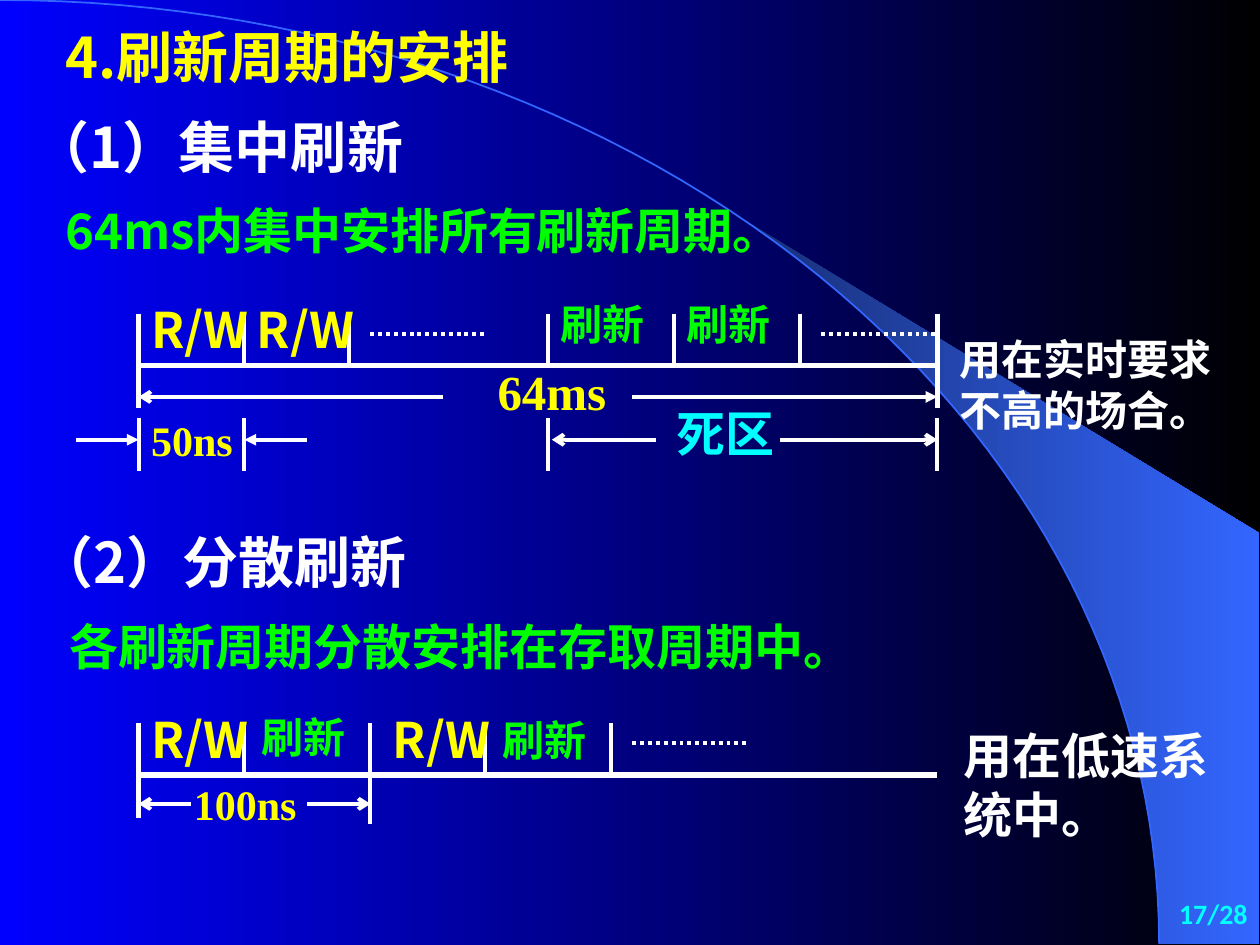
from math import cos, radians, sin

from lxml.etree import SubElement
from pptx import Presentation
from pptx.dml.color import RGBColor
from pptx.enum.dml import MSO_LINE
from pptx.enum.shapes import MSO_CONNECTOR
from pptx.enum.text import MSO_ANCHOR, PP_ALIGN
from pptx.oxml.ns import qn
from pptx.util import Inches, Pt

COLORS = {
    "blue": "0000FF", "black": "000000", "navy": "182F76", "sky": "3366FF",
    "white": "FFFFFF", "yellow": "FFFF00", "green": "00FF00", "cyan": "00FFFF",
}
SANS, SERIF = "Noto Sans CJK SC", "Times New Roman"
SPAN = 6.34       # length of a time axis
AXIS_DROP = 0.41  # from the top of the ticks to the axis


def rgb(name):
    return RGBColor.from_string(COLORS[name])


def set_gradient(fill, start, end):
    fill.gradient()
    fill.gradient_angle = 0
    for stop, name, position in zip(fill.gradient_stops, (start, end), (0, 1)):
        stop.color.rgb = rgb(name)
        stop.position = position


def add_text(slide, text, left, top, width=1.42, height=0.57, *, size=28, color="white",
             font=SANS, align=PP_ALIGN.LEFT, anchor=MSO_ANCHOR.TOP):
    frame = slide.shapes.add_textbox(
        Inches(left), Inches(top), Inches(width), Inches(height)).text_frame
    frame.word_wrap = True
    frame.vertical_anchor = anchor
    paragraph = frame.paragraphs[0]
    paragraph.alignment = align
    run = paragraph.add_run()
    run.text = text
    run.font.size = Pt(size)
    run.font.bold = True
    run.font.name = font
    run.font.color.rgb = rgb(color)
    SubElement(run.font._element, qn("a:ea")).set("typeface", font)


def add_line(slide, x1, y1, x2, y2, *, weight=2.25, dotted=False, head=None, tail=None):
    connector = slide.shapes.add_connector(
        MSO_CONNECTOR.STRAIGHT, Inches(x1), Inches(y1), Inches(x2), Inches(y2))
    connector.line.color.rgb = rgb("white")
    connector.line.width = Pt(weight)
    if dotted:
        connector.line.dash_style = MSO_LINE.ROUND_DOT
    for tag, kind in (("a:headEnd", head), ("a:tailEnd", tail)):
        if kind:
            SubElement(connector.line._get_or_add_ln(), qn(tag)).set("type", kind)
    SubElement(connector._element.spPr, qn("a:effectLst"))


def add_outline(slide, points, close):
    start, *others = [(Inches(x), Inches(y)) for x, y in points]
    builder = slide.shapes.build_freeform(*start)
    builder.add_line_segments(others, close=close)
    outline = builder.convert_to_shape()
    outline.shadow.inherit = False
    return outline


def draw_backdrop(slide, width, height):
    """Blue-to-black ground with a quarter ellipse and a beam leaving it."""
    set_gradient(slide.background.fill, "blue", "black")

    def ellipse(first_degree):
        steps = 60
        angles = [radians(first_degree + (90 - first_degree) * i / steps)
                  for i in range(steps + 1)]
        return [(9.2 * sin(a), height * (1 - cos(a))) for a in angles]

    beam = add_outline(slide, ellipse(39.8) + [(width, height), (width, 4.23)], True)
    set_gradient(beam.fill, "navy", "sky")
    beam.line.fill.background()
    rim = add_outline(slide, ellipse(0), False)
    rim.fill.background()
    rim.line.color.rgb = rgb("sky")
    rim.line.width = Pt(1)


def draw_heading(slide, left, top, title, summary):
    add_text(slide, title, left, top, 5.17, 0.64, size=32)
    add_text(slide, summary, left + 0.25, top + 0.7, 7.42, color="green")


def draw_axis(slide, left, top, ticks, accesses, refreshes, dots):
    """Time axis with slots; offsets are measured from the start of the axis."""
    axis = top + AXIS_DROP
    add_line(slide, left, top, left, top + 0.75, weight=3)
    add_line(slide, left, axis, left + SPAN, axis, weight=3)
    for x in ticks:
        add_line(slide, left + x, top, left + x, axis)
    for x in dots:
        add_line(slide, left + x, top + 0.16, left + x + 0.92, top + 0.16, dotted=True)
    for x in accesses:
        add_text(slide, "R/W", left + x, top - 0.16, color="yellow")
    for x, rise in refreshes:
        add_text(slide, "刷新", left + x, top - rise, height=0.5, size=24, color="green")


def draw_burst_timeline(slide, left, top):
    draw_axis(slide, left, top, ticks=(0.84, 1.67, 3.25, 4.25, 5.25), accesses=(0, 0.84),
              refreshes=((3.25, 0.17), (4.25, 0.17)), dots=(1.84, 5.42))
    end = left + SPAN
    add_line(slide, end, top, end, top + 0.75, weight=3)

    period = top + 0.66
    add_line(slide, left + 3.92, period, end, period, tail="triangle")
    add_line(slide, left + 2.42, period, left, period, tail="arrow")
    add_text(slide, "64ms", left + 2.75, top + 0.33, color="yellow", font=SERIF)

    for x in (0, 0.84, 3.25, SPAN):
        add_line(slide, left + x, top + 0.83, left + x, top + 1.25)
    detail = top + 1
    add_line(slide, left - 0.5, detail, left, detail, tail="triangle")
    add_line(slide, left + 0.84, detail, left + 1.34, detail, head="triangle")
    add_line(slide, left + 3.28, detail, left + 4.11, detail, head="arrow")
    add_line(slide, left + 5.09, detail, end, detail, tail="arrow")
    add_text(slide, "50ns", left, top + 0.75, height=0.5, size=24, color="yellow", font=SERIF)
    add_text(slide, "死区", left + 4.17, top + 0.66, color="cyan")
    add_text(slide, "用在实时要求不高的场合。", left + 6.42, top + 0.11, 2.33, 0.9, size=24)


def draw_spread_timeline(slide, left, top):
    draw_axis(slide, left, top, ticks=(0.84, 1.84, 2.75, 3.75), accesses=(0, 1.92),
              refreshes=((0.88, 0.14), (2.79, 0.12)), dots=(3.92,))
    cycle = top + 0.64
    add_line(slide, left + 1.84, top + 0.38, left + 1.84, top + 0.8)
    add_line(slide, left, cycle, left + 0.42, cycle, head="arrow")
    add_line(slide, left + 1.34, cycle, left + 1.84, cycle, tail="arrow")
    add_text(slide, "100ns", left + 0.34, top + 0.39, height=0.5, size=24,
             color="yellow", font=SERIF)
    add_text(slide, "用在低速系统中。", left + 6.45, top - 0.03, 2.33, 1.04)


def main():
    deck = Presentation()
    deck.slide_width, deck.slide_height = Inches(10), Inches(7.5)
    slide = deck.slides.add_slide(deck.slide_layouts[6])
    draw_backdrop(slide, 9.99, 7.49)
    add_text(slide, "4.刷新周期的安排", 0.42, 0.13, 6.42, 0.64, size=32, color="yellow")
    draw_heading(slide, 0.17, 0.84, "（1）集中刷新", "64ms内集中安排所有刷新周期。")
    draw_burst_timeline(slide, 1.1, 2.49)
    draw_heading(slide, 0.2, 4.14, "（2）分散刷新", "各刷新周期分散安排在存取周期中。")
    draw_spread_timeline(slide, 1.1, 5.74)
    add_text(slide, "17/28", 8.78, 7, 1.22, 0.5, size=16, color="cyan", font="Calibri",
             align=PP_ALIGN.RIGHT, anchor=MSO_ANCHOR.MIDDLE)
    deck.save("out.pptx")


if __name__ == "__main__":
    main()
